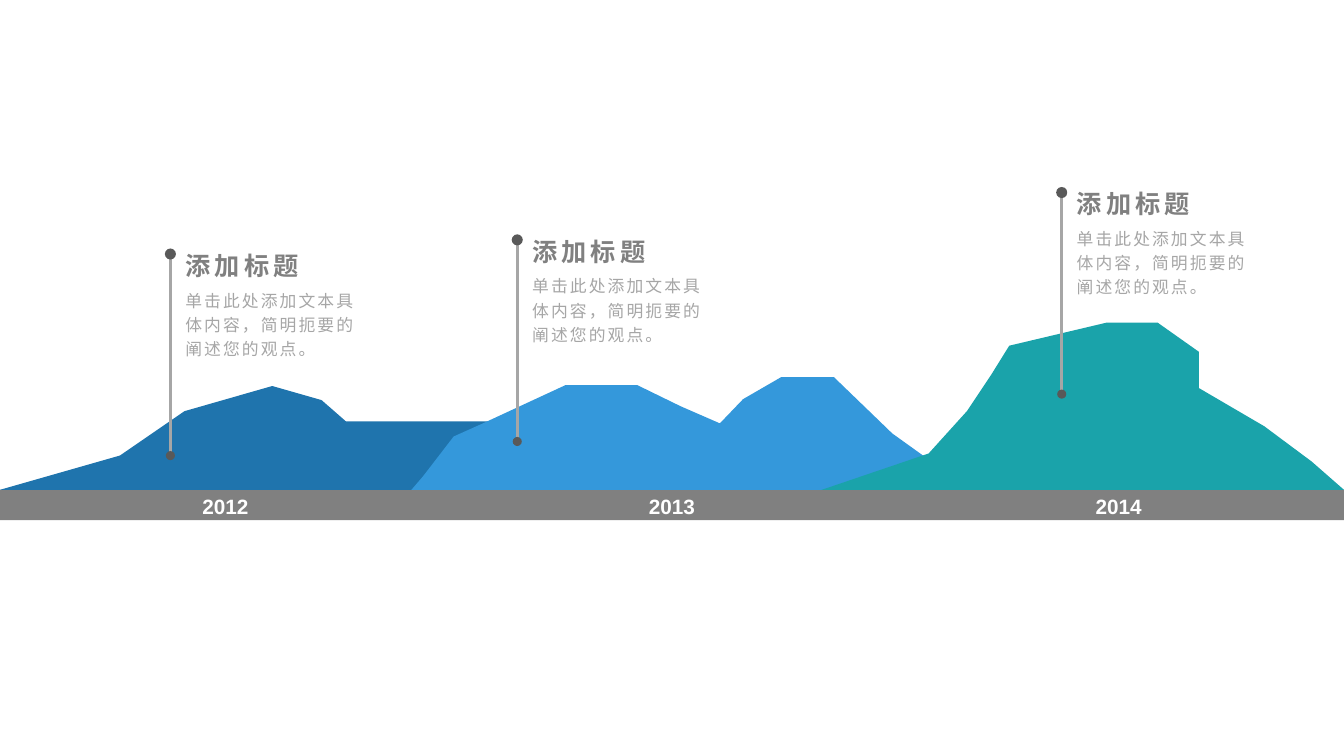
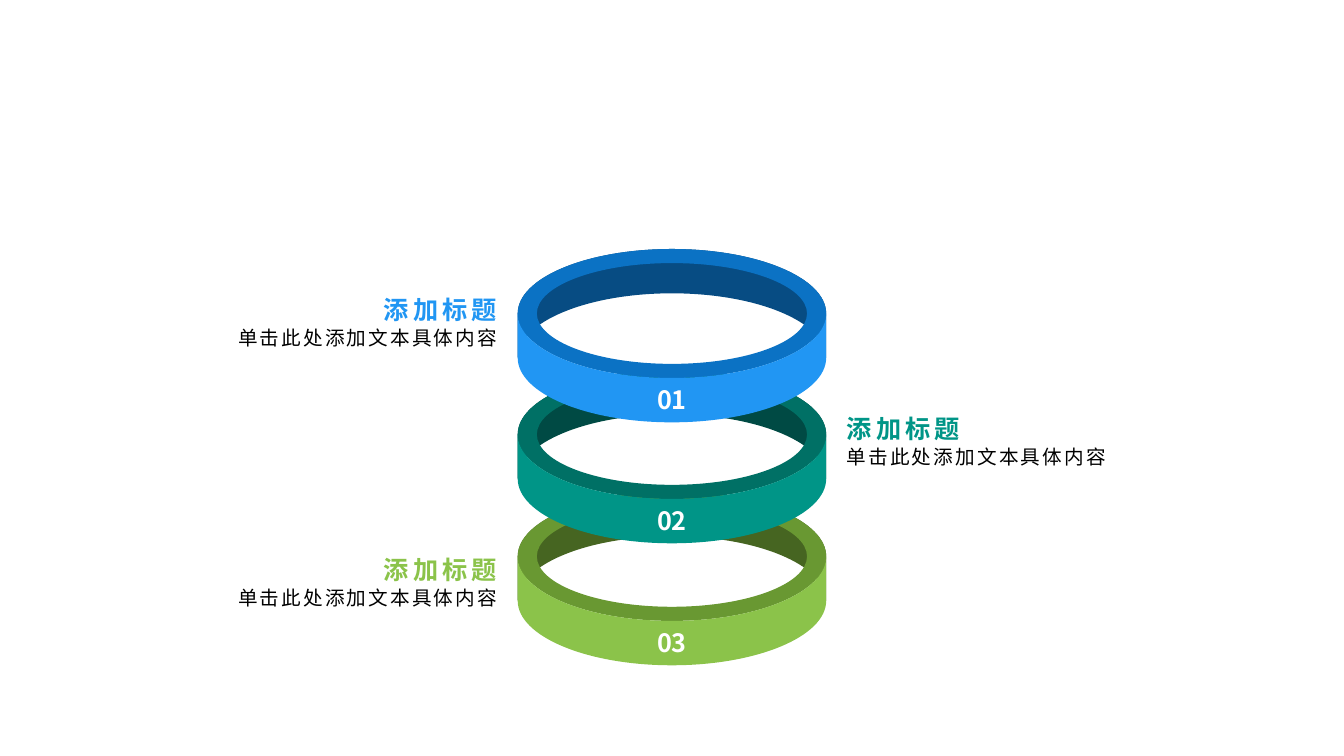
from math import cos, pi, sin, tan

from pptx import Presentation
from pptx import util as u
from pptx.dml.color import RGBColor
from pptx.enum import shapes as sh, text as tx
from pptx.oxml.ns import qn
from lxml import etree

W, H = 13.33, 7.5
WHITE = RGBColor(255, 255, 255)
BLACK = RGBColor(0, 0, 0)
GREY = RGBColor(0x80, 0x80, 0x80)
PALE = RGBColor(0xA6, 0xA6, 0xA6)
DARK = RGBColor(0x59, 0x59, 0x59)
NAVY = RGBColor(0x1F, 0x74, 0xAD)
SKY = RGBColor(0x34, 0x98, 0xDB)
TEAL = RGBColor(0x1A, 0xA3, 0xAA)
BLUES = [RGBColor.from_string(c) for c in ("2196F3", "0B72C4", "074C83")]
JADES = [RGBColor.from_string(c) for c in ("009587", "007065", "004A44")]
LIMES = [RGBColor.from_string(c) for c in ("8BC34A", "699832", "466521")]
SANS, NOTO = "Arial", "Noto Sans CJK SC"
LEFT, MID, RIGHT = tx.PP_ALIGN.LEFT, tx.PP_ALIGN.CENTER, tx.PP_ALIGN.RIGHT
TOP, LOW = tx.MSO_ANCHOR.TOP, tx.MSO_ANCHOR.BOTTOM

HEAD = "添加标题"
LONG = "单击此处添加文本具体内容，简明扼要的阐述您的观点。"
SHORT = "单击此处添加文本具体内容"
YEARS = ["2012", "2013", "2014"]
PINS = [(1.69, 2.54), (5.13, 2.4), (10.53, 1.93)]
BASE, BAND = 4.86, 0.3
HILLS = [
    (NAVY, [(0, BASE), (1.19, 4.52), (1.83, 4.08), (2.7, 3.83), (3.19, 3.97),
            (3.43, 4.18), (5.06, 4.18), (6.26, 4.41), (6.74, BASE)]),
    (SKY, [(4.08, BASE), (4.2, 4.72), (4.5, 4.33), (4.79, 4.2), (5.61, 3.82),
           (6.32, 3.82), (6.75, 4.03), (7.14, 4.2), (7.37, 3.96),
           (7.75, 3.74), (8.27, 3.74), (8.85, 4.3), (9.63, BASE)]),
    (TEAL, [(8.15, BASE), (9.21, 4.5), (9.59, 4.08), (9.83, 3.72),
            (10.01, 3.43), (10.98, 3.2), (11.48, 3.2), (11.89, 3.49),
            (11.89, 3.85), (12.54, 4.23), (13.01, 4.58), (W, BASE)]),
]
RINGS = [
    ("01", 3.11, BLUES, RIGHT, 2.82),
    ("02", 4.31, JADES, LEFT, 4),
    ("03", 5.52, LIMES, RIGHT, 5.4),
]
OUTER, INNER, DROP = (1.53, 0.64), (1.34, 0.5), 0.44


def inch(*vals):
    return [u.Inches(v) for v in vals]


def paint(shape, hue):
    shape.shadow.inherit = False
    shape.fill.solid()
    shape.fill.fore_color.rgb = hue
    shape.line.fill.background()


def write(slide, words, box, size, hue, font=SANS, bold=False, align=LEFT,
          anchor=TOP, gap=0, lead=1, pads=(0.1, 0.05, 0.1, 0.05), wrap=True):
    area = slide.shapes.add_textbox(*inch(*box))
    frame = area.text_frame
    frame.word_wrap = wrap
    frame.vertical_anchor = anchor
    (frame.margin_left, frame.margin_top,
     frame.margin_right, frame.margin_bottom) = inch(*pads)
    para = frame.paragraphs[0]
    para.alignment, para.line_spacing = align, float(lead)
    run = para.add_run()
    run.text = words
    run.font.size, run.font.bold, run.font.name = u.Pt(size), bold, font
    run.font.color.rgb = hue
    props = run.font._element
    etree.SubElement(props, qn("a:ea")).set("typeface", font)
    if gap:
        props.set("spc", str(int(gap * 100)))


def title(slide, box, hue, **look):
    write(slide, HEAD, box, 18, hue, bold=True, anchor=LOW, gap=3,
          pads=(0.1, 0.05, 0.1, 0), **look)


def body(slide, words, box, size, hue, **look):
    write(slide, words, box, size, hue, gap=1.5,
          pads=(0.1, 0, 0.1, 0.05), **look)


def shape(home, hue, *loops):
    first, *rest = [[inch(*p) for p in loop] for loop in loops]
    pen = home.build_freeform(*first[0], scale=1.0)
    pen.add_line_segments(first[1:], close=True)
    for loop in rest:
        pen.move_to(*loop[0])
        pen.add_line_segments(loop[1:], close=True)
    form = pen.convert_to_shape()
    paint(form, hue)
    return form


def bend(form, count):
    trace = form._element.find(".//" + qn("a:path"))
    nodes = [n for n in trace if n.tag != qn("a:close")]
    for i in range(0, len(nodes), count):
        for j in range(i + 1, i + count, 3):
            curve, *more = nodes[j:j + 3]
            curve.tag = qn("a:cubicBezTo")
            for node in more:
                curve.append(node[0])
                trace.remove(node)


def dot(slide, x, y, size):
    spot = slide.shapes.add_shape(
        sh.MSO_SHAPE.OVAL, *inch(x - size / 2, y - size / 2, size, size))
    paint(spot, DARK)


def pin(slide, x, y):
    foot = y + 1.98
    title(slide, (x + 0.05, y - 0.25, 1.91, 0.49), GREY, lead=1.2)
    line = slide.shapes.add_connector(
        sh.MSO_CONNECTOR.STRAIGHT, *inch(x, foot, x, y))
    line.line.color.rgb, line.line.width = PALE, u.Pt(2.25)
    etree.SubElement(line._element.spPr, qn("a:effectLst"))
    dot(slide, x, y - 0.02, 0.11)
    dot(slide, x, foot, 0.09)
    body(slide, LONG, (x + 0.05, y + 0.3, 1.91, 0.91), 12, PALE, lead=1.2)


def arc(y, radii, start, quarters):
    step = pi / 2 if quarters > 0 else -pi / 2
    pull = 4 / 3 * tan(step / 4)
    spots = [(cos(start), sin(start))]
    for i in range(abs(quarters)):
        a, b = start + i * step, start + (i + 1) * step
        spots += [(cos(a) - pull * sin(a), sin(a) + pull * cos(a)),
                  (cos(b) + pull * sin(b), sin(b) - pull * cos(b)),
                  (cos(b), sin(b))]
    return [(W / 2 + radii[0] * p, y + radii[1] * q) for p, q in spots]


def ring(slide, num, y, hues, align, top):
    front, rim, back = hues
    home = slide.shapes.add_group_shape().shapes

    def wall(hue, turn):
        edge = arc(y, OUTER, 0, turn)
        foot = arc(y + DROP, OUTER, pi, -turn)
        bend(shape(home, hue, edge + foot), len(edge))

    wall(back, -2)
    outer, inner = arc(y, OUTER, 0, 4), arc(y, INNER, 0, -4)
    bend(shape(home, rim, outer, inner), len(outer))
    wall(front, 2)
    left = 1.7 if align == RIGHT else 8.3
    look = dict(font=NOTO, align=align)
    body(slide, SHORT, (left, top + 0.41, 3.33, 0.68), 14, BLACK, **look)
    title(slide, (left, top, 3.33, 0.4), front, **look)
    write(slide, num, (W / 2 - 0.25, y + 0.65, 0.5, 0.4), 18, WHITE,
          font=NOTO, bold=True, align=MID, wrap=False)


def hills(slide):
    band = slide.shapes.add_shape(
        sh.MSO_SHAPE.RECTANGLE, *inch(0, BASE, W, BAND))
    paint(band, GREY)
    for hue, ridge in HILLS:
        shape(slide.shapes, hue, ridge)
    for i, year in enumerate(YEARS):
        mid = W / 2 + (i - 1) * 4.43
        write(slide, year, (mid - 0.6, BASE - 0.03, 1.2, 0.37), 14.8, WHITE,
              bold=True, align=MID, lead=1.1)
    for x, y in PINS:
        pin(slide, x, y)


def stack(slide):
    for item in reversed(RINGS):
        ring(slide, *item)


def main():
    deck = Presentation()
    deck.slide_width, deck.slide_height = inch(W, H)
    for draw in (hills, stack):
        draw(deck.slides.add_slide(deck.slide_layouts[6]))
    deck.save("out.pptx")


if __name__ == "__main__":
    main()
